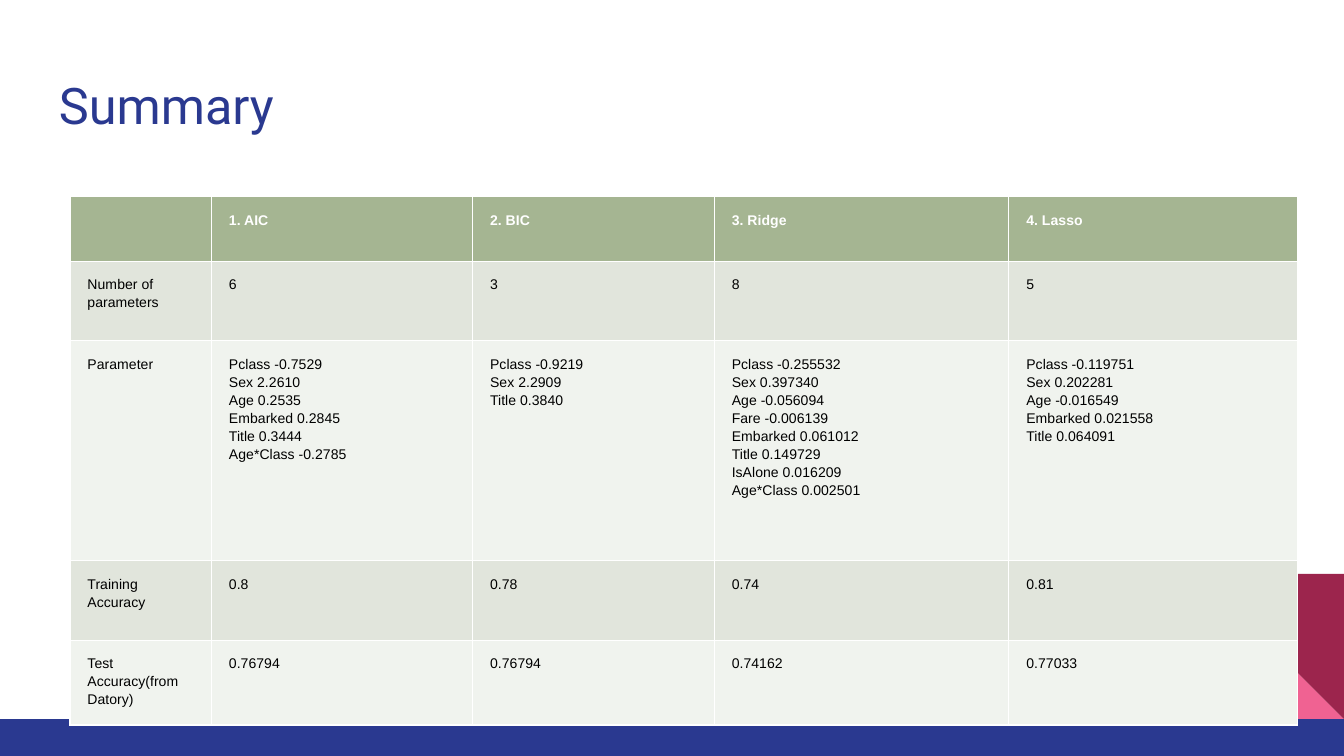
"""Build the model comparison summary slide."""
from dataclasses import dataclass

import lxml.etree
import pptx
import pptx.dml.color
import pptx.enum.shapes
import pptx.enum.text
import pptx.oxml.ns
import pptx.util

Pt = pptx.util.Pt
qn = pptx.oxml.ns.qn
SHAPE = pptx.enum.shapes.MSO_SHAPE

INSETS = {f"margin_{side}": Pt(7.2) for side in ("left", "right", "top", "bottom")}
CELL_FONT = {"name": "Arial", "size": Pt(7.5)}
TITLE_FONT = {"name": "Roboto", "size": Pt(27), "bold": False}
HEADER_FILL = "A5B592"
BAND_FILLS = ("F0F3EE", "E1E5DC")
TILE = 77.76
FLOOR_TOP = 385.2


@dataclass
class Block:
    kind: int
    left: float
    top: float
    width: float
    height: float
    fill: str
    rotation: float = 0


@dataclass
class Row:
    height: float
    cells: tuple[str, ...]


TILES = [
    Block(kind, 720 - TILE * place, FLOOR_TOP - TILE, TILE, TILE, fill, rotation)
    for kind, place, fill, rotation in (
        (SHAPE.RIGHT_TRIANGLE, 1, "F06292", 0),
        (SHAPE.RIGHT_TRIANGLE, 3, "F06292", 270),
        (SHAPE.RECTANGLE, 2, "D23369", 0),
        (SHAPE.RIGHT_TRIANGLE, 1, "9C254D", 180),
    )
]
FLOOR = Block(SHAPE.RECTANGLE, 0, FLOOR_TOP, 720, 405 - FLOOR_TOP, "2A3990")

COLUMN_WIDTHS = (75.8, 139.9, 129.5, 157.8, 154.6)
ROWS = [
    Row(34.7, ("", "1. AIC", "2. BIC", "3. Ridge", "4. Lasso")),
    Row(42.5, ("Number of parameters", "6", "3", "8", "5")),
    Row(118, (
        "Parameter",
        "Pclass -0.7529\nSex 2.2610\nAge 0.2535\nEmbarked 0.2845\n"
        "Title 0.3444\nAge*Class -0.2785",
        "Pclass -0.9219\nSex 2.2909\nTitle 0.3840",
        "Pclass -0.255532\nSex 0.397340\nAge -0.056094\nFare -0.006139\n"
        "Embarked 0.061012\nTitle 0.149729\nIsAlone 0.016209\nAge*Class 0.002501",
        "Pclass -0.119751\nSex 0.202281\nAge -0.016549\n"
        "Embarked 0.021558\nTitle 0.064091",
    )),
    Row(42.5, ("Training Accuracy", "0.8", "0.78", "0.74", "0.81")),
    Row(42.5, ("Test Accuracy(from Datory)", "0.76794", "0.76794", "0.74162", "0.77033")),
]


def paint(colour_format, colour: str) -> None:
    if hasattr(colour_format, "solid"):
        colour_format.solid()
        colour_format = colour_format.fore_color
    colour_format.rgb = pptx.dml.color.RGBColor.from_string(colour)


def apply(target, values: dict) -> None:
    for name, value in values.items():
        setattr(target, name, value)


def draw_block(slide, block: Block) -> None:
    shape = slide.shapes.add_shape(
        block.kind, Pt(block.left), Pt(block.top), Pt(block.width), Pt(block.height))
    shape.rotation = block.rotation
    shape.shadow.inherit = False
    shape.line.fill.background()
    paint(shape.fill, block.fill)


def draw_title(slide, wording: str) -> None:
    title = slide.shapes.add_textbox(Pt(24.5), Pt(32.4), Pt(671), Pt(47.5))
    frame = title.text_frame
    apply(frame, INSETS | {
        "word_wrap": True, "vertical_anchor": pptx.enum.text.MSO_ANCHOR.MIDDLE})
    run = frame.paragraphs[0].add_run()
    run.text = wording
    apply(run.font, TITLE_FONT)
    paint(run.font.color, "2A3990")


def add_borders(cell, bottom: float, top: float) -> None:
    properties = cell._tc.get_or_add_tcPr()
    widths = {"lnL": 0.75, "lnR": 0.75, "lnT": top, "lnB": bottom}
    for place, (side, width) in enumerate(widths.items()):
        line = lxml.etree.Element(qn(f"a:{side}"), w=str(Pt(width)))
        fill = lxml.etree.SubElement(line, qn("a:solidFill"))
        lxml.etree.SubElement(fill, qn("a:srgbClr"), val="FFFFFF")
        properties.insert(place, line)


def fill_cell(cell, wording: str, row_number: int) -> None:
    header = row_number == 0
    apply(cell, INSETS)
    paint(cell.fill, HEADER_FILL if header else BAND_FILLS[row_number % 2])
    add_borders(cell, 0.95 if header else 0.75, 0.95 if row_number == 1 else 0.75)
    cell.text = wording
    for paragraph in cell.text_frame.paragraphs:
        paragraph.line_spacing = 1.15
        indents = {"marL": str(Pt(2.16)), "indent": "0"}
        for name, value in indents.items():
            paragraph._p.get_or_add_pPr().set(name, value)
        for run in paragraph.runs:
            apply(run.font, CELL_FONT | {"bold": header})
            paint(run.font.color, "FFFFFF" if header else "000000")
        if not paragraph.runs:
            lxml.etree.SubElement(paragraph._p, qn("a:endParaRPr"), sz="750")


def draw_comparison(slide) -> None:
    comparison = slide.shapes.add_table(
        len(ROWS), len(COLUMN_WIDTHS), Pt(37.5), Pt(105.3),
        Pt(sum(COLUMN_WIDTHS)), Pt(sum(row.height for row in ROWS))).table
    for column, width in zip(comparison.columns, COLUMN_WIDTHS):
        column.width = Pt(width)
    for row_number, row in enumerate(ROWS):
        comparison.rows[row_number].height = Pt(row.height)
        for column_number, wording in enumerate(row.cells):
            fill_cell(comparison.cell(row_number, column_number), wording, row_number)


def main() -> None:
    deck = pptx.Presentation()
    apply(deck, {"slide_width": Pt(720), "slide_height": Pt(405)})
    summary = deck.slides.add_slide(deck.slide_layouts[6])
    for block in [*TILES, FLOOR]:
        draw_block(summary, block)
    draw_title(summary, "Summary")
    draw_comparison(summary)
    deck.save("out.pptx")


if __name__ == "__main__":
    main()
